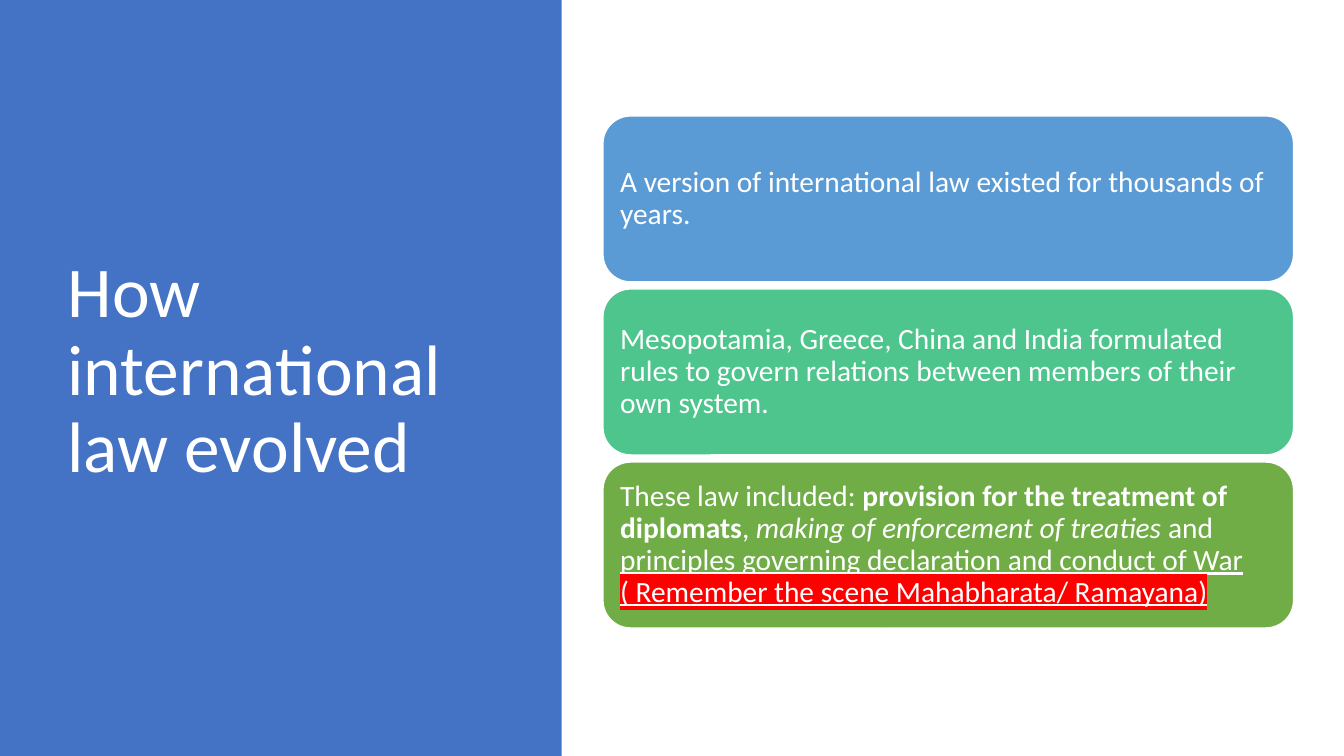
from dataclasses import dataclass

import pptx
import pptx.dml.color
import pptx.enum.shapes
import pptx.enum.text
import pptx.oxml
import pptx.oxml.ns
import pptx.util
from pptx.util import Inches


@dataclass(frozen=True)
class Theme:
    font: str = "Calibri"
    title_size: int = 51
    card_size: int = 21
    white: str = "FFFFFF"
    panel: str = "4472C4"
    cards: tuple = ("5B9BD5", "4DC58D", "70AD47")
    highlight: str = "FF0000"


THEME = Theme()

# Each statement is a list of (text, styles) pieces.
STATEMENTS = [
    [("A version of international law existed for thousands of years.", ())],
    [("Mesopotamia, Greece, China and India formulated rules to govern "
      "relations between members of their own system.", ())],
    [("These law included: ", ()),
     ("provision for the treatment of diplomats", ("bold",)),
     (", ", ()),
     ("making of enforcement of treaties", ("italic",)),
     (" and ", ()),
     ("principles governing declaration and conduct of War ", ("underline",)),
     ("( Remember the scene Mahabharata/ Ramayana)", ("underline", "highlight"))],
]


def rgb(value):
    return pptx.dml.color.RGBColor.from_string(value)


def format_run(run, size, styles=()):
    font = run.font
    font.name, font.size = THEME.font, pptx.util.Pt(size)
    font.color.rgb = rgb(THEME.white)
    for style in styles:
        if style == "highlight":
            mark = pptx.oxml.parse_xml(
                f'<a:highlight {pptx.oxml.ns.nsdecls("a")}>'
                f'<a:srgbClr val="{THEME.highlight}"/></a:highlight>')
            run._r.rPr.find(pptx.oxml.ns.qn("a:solidFill")).addnext(mark)
        else:
            setattr(font, style, True)


def set_paragraph(paragraph):
    paragraph.alignment = pptx.enum.text.PP_ALIGN.LEFT
    paragraph.line_spacing = 0.9


def add_title_panel(slide, left, top, width, height):
    """Fill the box with colour and centre the title vertically in it."""
    panel = slide.shapes.add_shape(
        pptx.enum.shapes.MSO_SHAPE.RECTANGLE, left, top, width, height)
    panel.shadow.inherit = False
    panel.fill.solid()
    panel.fill.fore_color.rgb = rgb(THEME.panel)
    panel.line.fill.background()

    title = slide.shapes.title
    panel._element.getparent().append(title._element)  # title in front of panel
    title.left, title.top = left + Inches(0.57), top + Inches(0.68)
    title.width, title.height = Inches(4.16), Inches(6.02)
    frame = title.text_frame
    frame.text = "How international law evolved"
    frame.word_wrap = True
    frame.auto_size = pptx.enum.text.MSO_AUTO_SIZE.NONE
    frame.vertical_anchor = pptx.enum.text.MSO_ANCHOR.MIDDLE
    set_paragraph(frame.paragraphs[0])
    format_run(frame.paragraphs[0].runs[0], THEME.title_size)


def add_card(slide, statement, color, left, top, width, height):
    card = slide.shapes.add_shape(
        pptx.enum.shapes.MSO_SHAPE.ROUNDED_RECTANGLE, left, top, width, height)
    card.shadow.inherit = False
    card.fill.solid()
    card.fill.fore_color.rgb = rgb(color)
    card.line.color.rgb = rgb(THEME.white)
    card.line.width = pptx.util.Pt(1)

    frame = card.text_frame
    frame.word_wrap = True
    frame.vertical_anchor = pptx.enum.text.MSO_ANCHOR.MIDDLE
    frame.margin_left = frame.margin_right = Inches(0.09)
    frame.margin_top = frame.margin_bottom = Inches(0.09)
    paragraph = frame.paragraphs[0]
    set_paragraph(paragraph)
    for text, styles in statement:
        run = paragraph.add_run()
        run.text = text
        format_run(run, THEME.card_size, styles)


def add_card_stack(slide, left, top, width, height):
    """Share the box's height equally between the statements."""
    gap = Inches(0.07)
    count = len(STATEMENTS)
    card_height = (height - gap * (count - 1)) // count
    for index, (statement, color) in enumerate(zip(STATEMENTS, THEME.cards)):
        add_card(slide, statement, color, left,
                 top + index * (card_height + gap), width, card_height)


def main():
    deck = pptx.Presentation()
    deck.slide_width, deck.slide_height = Inches(13.33), Inches(7.5)
    slide = deck.slides.add_slide(deck.slide_layouts.get_by_name("Title Only"))
    add_title_panel(slide, 0, 0, Inches(5.57), deck.slide_height)
    add_card_stack(slide, Inches(5.98), Inches(1.15), Inches(6.85), Inches(5.08))
    deck.save("out.pptx")


if __name__ == "__main__":
    main()
